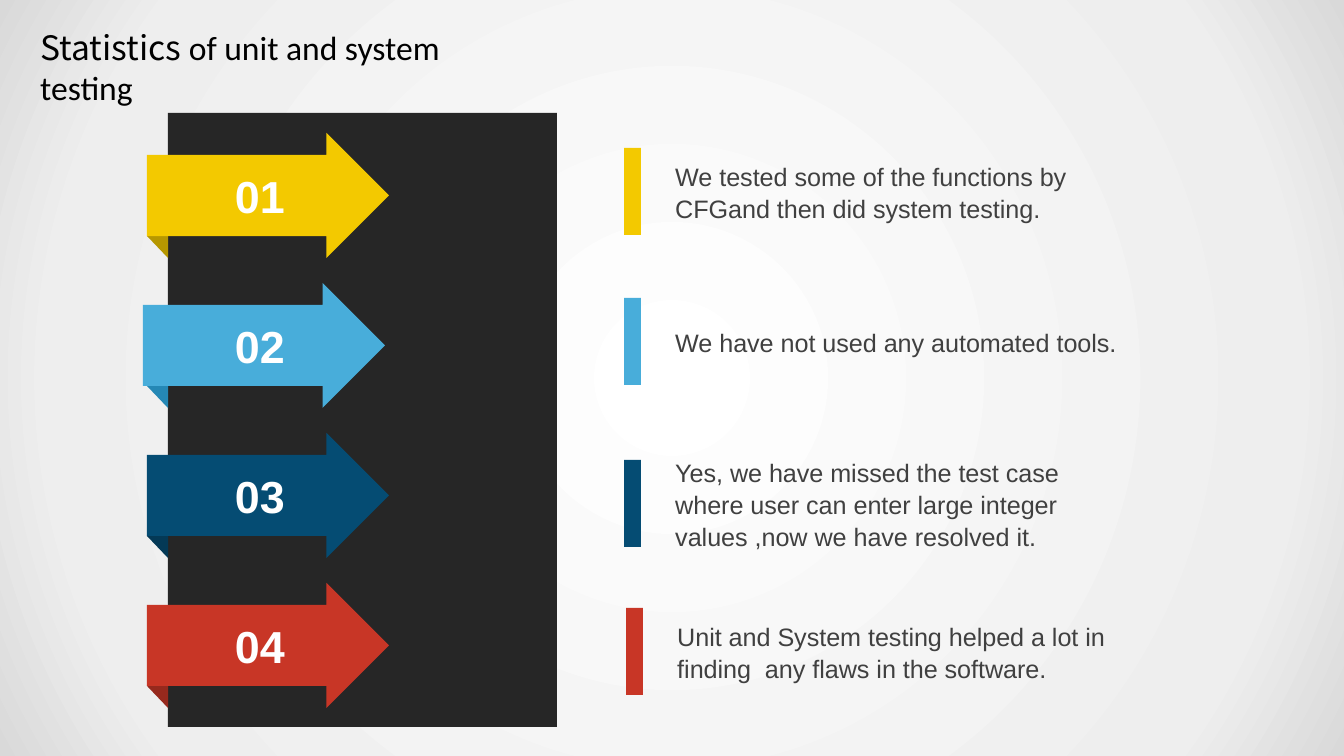
from lxml import etree
from pptx import Presentation
from pptx.dml.color import RGBColor
from pptx.enum.shapes import MSO_SHAPE
from pptx.enum.text import MSO_ANCHOR, PP_ALIGN
from pptx.oxml import parse_xml
from pptx.oxml.ns import nsdecls
from pptx.util import Pt

RECT, ARROW, TRIANGLE = MSO_SHAPE.RECTANGLE, MSO_SHAPE.RIGHT_ARROW, MSO_SHAPE.RIGHT_TRIANGLE
MIDDLE, LEFT = MSO_ANCHOR.MIDDLE, PP_ALIGN.LEFT
PX = 914400 / 134.4

COLORS = {
    "panel": "262626", "white": "FFFFFF", "text": "404040", "title": "000000",
    "yellow": "F3C900", "yellow_fold": "B69700",
    "blue": "48ADDA", "blue_fold": "2588B5",
    "navy": "054C73", "navy_fold": "043956",
    "red": "C83626", "red_fold": "96291D",
}
GRADIENT = [(0, "FFFFFF"), (81, "EEEEEE"), (100, "D9D9D9")]

# color, arrow left, bar left, bar top, line count, paragraphs
ITEMS = [
    ("yellow", 147, 624, 148, 2,
     ["We tested some of the functions by CFGand then did system testing."]),
    ("blue", 143, 624, 298, 1, ["We have not used any automated tools."]),
    ("navy", 147, 624, 460, 3,
     ["Yes, we have missed the test case",
      "where user can enter large integer",
      "values ,now we have resolved it."]),
    ("red", 147, 626, 608, 2,
     ["Unit and System testing helped a lot in",
      "finding  any flaws in the software."]),
]
NUMBER_LEFT = 235
ROW_TOP, ROW_STEP = 133, 150
BAR_W, BAR_H = 17, 87


def px(*lengths):
    return [round(n * PX) for n in lengths]


def add_filled(kind, color, *box):
    s = shapes.add_shape(kind, *px(*box))
    s.shadow.inherit = False
    s.fill.solid()
    s.fill.fore_color.rgb = RGBColor.from_string(COLORS[color])
    s.line.fill.background()
    return s


prs = Presentation()
prs.slide_width, prs.slide_height = px(1344, 756)
slide = prs.slides.add_slide(prs.slide_layouts[6])
shapes = slide.shapes

# Radial background: the linear gradient is swapped for a circular one
fill = slide.background.fill
fill.gradient()
grad = fill._fill._gradFill
for child in list(grad):
    grad.remove(child)
stops = "".join(f'<a:gs pos="{pos * 1000}"><a:srgbClr val="{color}"/></a:gs>'
                for pos, color in GRADIENT)
radial = parse_xml(
    f'<a:gradFill {nsdecls("a")}><a:gsLst>{stops}</a:gsLst><a:path path="circle">'
    '<a:fillToRect l="50000" t="50000" r="50000" b="50000"/></a:path></a:gradFill>')
etree.strip_attributes(grad, "flip")
for child in list(radial):
    grad.append(child)

add_filled(RECT, "panel", 168, 113, 389, 614)

for i, (color, left, bar_left, bar_top, lines, paragraphs) in enumerate(ITEMS):
    top = ROW_TOP + i * ROW_STEP
    fold = add_filled(TRIANGLE, color + "_fold", 147, top + 103, 21, 22)
    fold.rotation = 180

    arrow = add_filled(ARROW, color, left, top, 242, 125)
    arrow.adjustments[0], arrow.adjustments[1] = 0.65, 0.5
    tf = arrow.text_frame
    tf.vertical_anchor = MIDDLE
    tf.margin_left = px(NUMBER_LEFT - left)[0]
    p = tf.paragraphs[0]
    p.text = f"{i + 1:02d}"
    p.alignment = LEFT
    p.font.name, p.font.size, p.font.bold = "Arial", Pt(24), True
    p.font.color.rgb = RGBColor.from_string(COLORS["white"])

    add_filled(RECT, color, bar_left, bar_top, BAR_W, BAR_H)
    height = 14 + 30 * lines
    box_top = bar_top + (BAR_H - height) / 2
    tf = shapes.add_textbox(*px(bar_left + 38, box_top, 486, height)).text_frame
    tf.word_wrap = True
    tf.vertical_anchor = MIDDLE
    for n, text in enumerate(paragraphs):
        p = tf.add_paragraph() if n else tf.paragraphs[0]
        p.text = text
        p.line_spacing = 1.06
        p.font.name, p.font.size = "Arial", Pt(13.5)
        p.font.color.rgb = RGBColor.from_string(COLORS["text"])

tf = shapes.add_textbox(*px(27, 20, 500, 54)).text_frame
tf.word_wrap = True
p = tf.paragraphs[0]
p.font.size = Pt(18)
for text, font in [("Statistics", "Noto Sans CJK KR"),
                   (" of unit and system testing", "Calibri")]:
    r = p.add_run()
    r.text = text
    r.font.name = font
    r.font.color.rgb = RGBColor.from_string(COLORS["title"])

prs.save("out.pptx")
